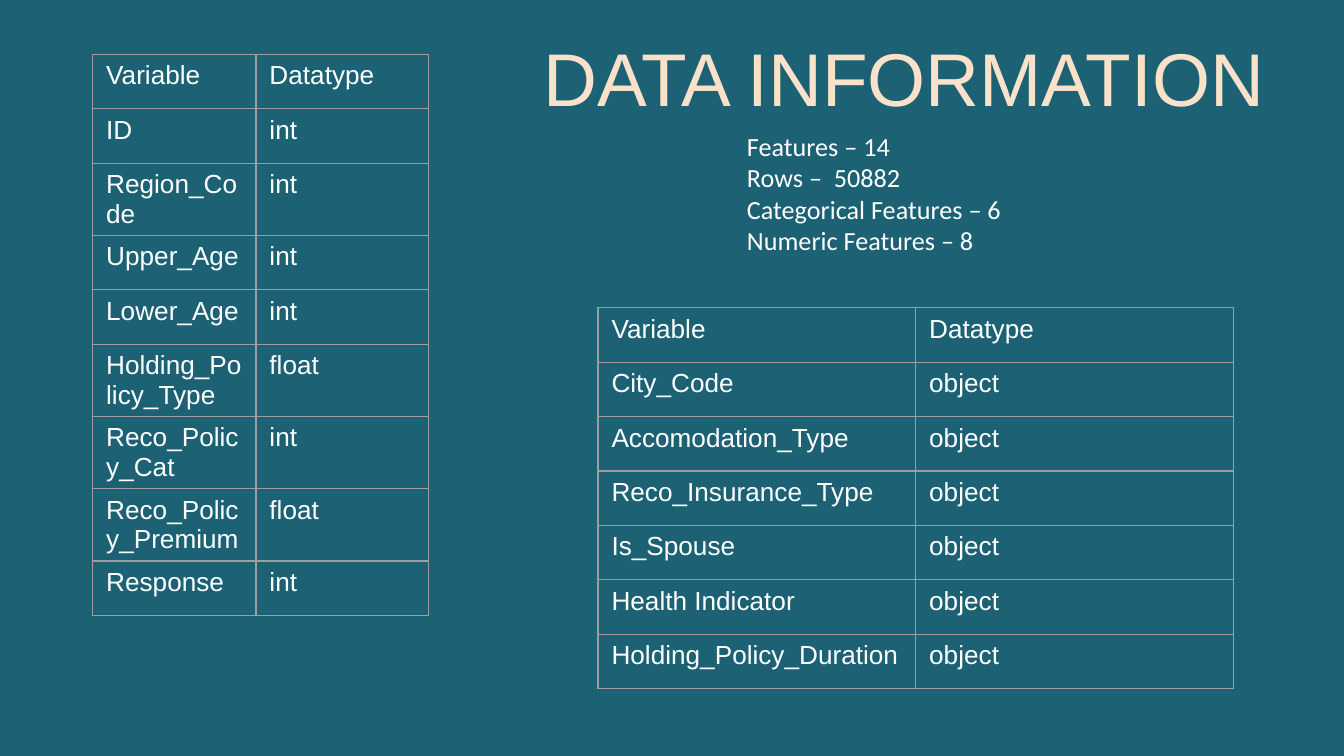
from lxml import etree
from pptx import Presentation
from pptx import util as u
from pptx.dml.color import RGBColor
from pptx.enum import text
from pptx.oxml.ns import qn

COLUMNS, ROWS = 100, 56.25  # grid of tenth-inch units


def colour(value):
    return RGBColor.from_string(value)


class DataSlide:
    background, heading, body, border = "1C6274", "FAE2CA", "FFFFFF", "9E9E9E"
    body_size = 14

    def __init__(self, presentation):
        self.column = presentation.slide_width / COLUMNS
        self.row = presentation.slide_height / ROWS
        self.slide = presentation.slides.add_slide(presentation.slide_layouts[5])
        fill = self.slide.background.fill
        fill.solid()
        fill.fore_color.rgb = colour(self.background)

    def box(self, left, top, width, height):
        return (round(left * self.column), round(top * self.row),
                round(width * self.column), round(height * self.row))

    def add_words(self, paragraph, words, font="Arial", size=body_size, shade=body):
        run = paragraph.add_run()
        run.text = words
        run.font.name = font
        run.font.size = u.Pt(size)
        run.font.color.rgb = colour(shade)

    def title(self, words, *place):
        shape = self.slide.shapes.title
        shape.left, shape.top, shape.width, shape.height = self.box(*place)
        frame = shape.text_frame
        frame.word_wrap = True
        frame.auto_size = text.MSO_AUTO_SIZE.NONE
        frame.vertical_anchor = text.MSO_ANCHOR.TOP
        frame.margin_left = frame.margin_right = frame.margin_bottom = u.Inches(0.1)
        frame.margin_top = u.Inches(0.15)
        paragraph = frame.paragraphs[0]
        paragraph.alignment = text.PP_ALIGN.CENTER
        self.add_words(paragraph, words, size=40, shade=self.heading)

    def lines(self, entries, *place):
        frame = self.slide.shapes.add_textbox(*self.box(*place)).text_frame
        frame.word_wrap = False
        frame.auto_size = text.MSO_AUTO_SIZE.SHAPE_TO_FIT_TEXT
        for index, words in enumerate(entries):
            paragraph = frame.add_paragraph() if index else frame.paragraphs[0]
            self.add_words(paragraph, words, font="Calibri")

    def outline(self, cell):
        properties = cell._tc.get_or_add_tcPr()
        for position, side in enumerate(("lnL", "lnR", "lnT", "lnB")):
            line = etree.Element(qn(f"a:{side}"), w=str(u.Pt(0.75)))
            fill = etree.SubElement(line, qn("a:solidFill"))
            etree.SubElement(fill, qn("a:srgbClr"), val=self.border)
            properties.insert(position, line)

    def table(self, records, left, top, widths, row_height):
        place = self.box(left, top, sum(widths), row_height * len(records))
        table = self.slide.shapes.add_table(len(records), len(widths), *place).table
        table.first_row = table.horz_banding = False
        for column, width in zip(table.columns, widths):
            column.width = round(width * self.column)
        for row, record in zip(table.rows, records):
            row.height = round(row_height * self.row)
            for cell, words in zip(row.cells, record):
                cell.fill.background()
                self.outline(cell)
                self.add_words(cell.text_frame.paragraphs[0], words)


def main():
    presentation = Presentation()
    presentation.slide_width = u.Inches(10)
    presentation.slide_height = u.Inches(5.625)
    page = DataSlide(presentation)
    header = ("Variable", "Datatype")

    # Title
    page.title("DATA INFORMATION", 34.5, 0.9, 65.5, 11.8)

    # Numeric variables
    numeric = [("ID", "int"), ("Region_Code", "int"), ("Upper_Age", "int"),
               ("Lower_Age", "int"), ("Holding_Policy_Type", "float"),
               ("Reco_Policy_Cat", "int"), ("Reco_Policy_Premium", "float"),
               ("Response", "int")]
    page.table([header] + numeric, 6.9, 4.05, (12.15, 12.85), 4.05)

    # Categorical variables
    categorical = ["City_Code", "Accomodation_Type", "Reco_Insurance_Type",
                   "Is_Spouse", "Health Indicator", "Holding_Policy_Duration"]
    page.table([header] + [(name, "object") for name in categorical],
               44.5, 22.9, (23.64, 23.64), 4.05)

    # Data set summary
    page.lines(["Features – 14", "Rows –  50882", "Categorical Features – 6",
                "Numeric Features – 8"], 54.6, 9.2, 21.3, 12.8)

    presentation.save("out.pptx")


if __name__ == "__main__":
    main()
